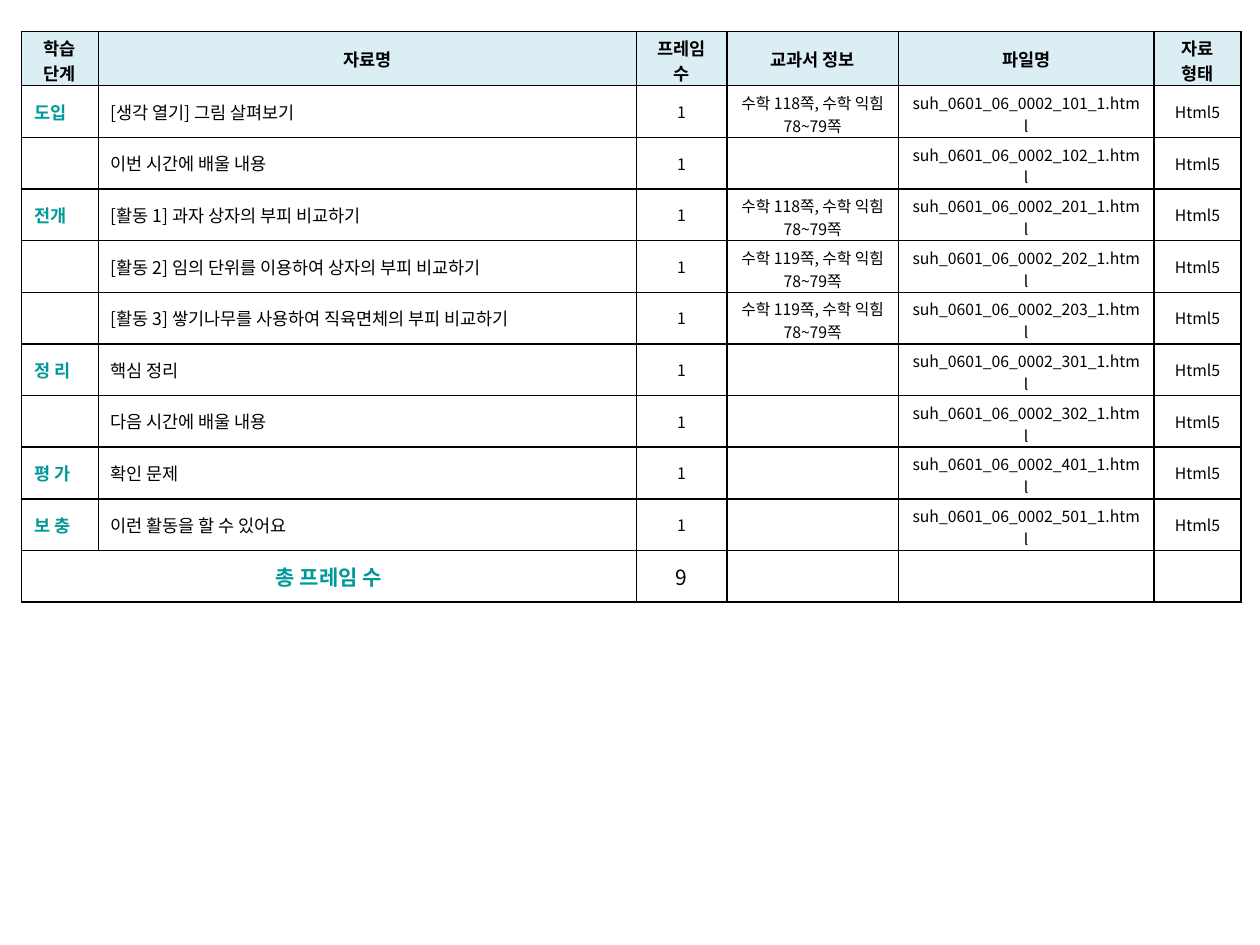
from lxml.etree import SubElement
from pptx import Presentation
from pptx.dml.color import RGBColor
from pptx.enum.text import MSO_ANCHOR, PP_ALIGN
from pptx.oxml.ns import qn
from pptx.util import Inches, Pt

FONT = "Noto Sans CJK KR"
BLACK, TEAL, HEADER_FILL = "000000", "009999", "DBEEF4"
LEFT, CENTER, JUSTIFY = PP_ALIGN.LEFT, PP_ALIGN.CENTER, PP_ALIGN.JUSTIFY

COLS = [0.61, 4.27, 0.72, 1.36, 2.03, 0.69]
HEADER_H, ROW_H = 0.43, 0.41
HEADERS = ["학습 단계", "자료명", "프레임 수", "교과서 정보", "파일명", "자료\n형태"]

# Stage, material, textbook page, file number
LESSONS = [
    ("도입", "[생각 열기] 그림 살펴보기", 118, 101),
    ("", "이번 시간에 배울 내용", None, 102),
    ("전개", "[활동 1] 과자 상자의 부피 비교하기", 118, 201),
    ("", "[활동 2] 임의 단위를 이용하여 상자의 부피 비교하기", 119, 202),
    ("", "[활동 3] 쌓기나무를 사용하여 직육면체의 부피 비교하기", 119, 203),
    ("정 리", "핵심 정리", None, 301),
    ("", "다음 시간에 배울 내용", None, 302),
    ("평 가", "확인 문제", None, 401),
    ("보 충", "이런 활동을 할 수 있어요", None, 501),
]


def rgb(value):
    return RGBColor.from_string(value)


def add_borders(cell):
    tc_pr = cell._tc.get_or_add_tcPr()
    for i, side in enumerate(("a:lnL", "a:lnR", "a:lnT", "a:lnB")):
        ln = SubElement(tc_pr, qn(side), w=str(Pt(1)))
        fill = SubElement(ln, qn("a:solidFill"))
        SubElement(fill, qn("a:srgbClr"), val=BLACK)
        tc_pr.insert(i, ln)  # borders come before the fill


def fill_cell(cell, text="", size=9, color=BLACK, bold=False, align=CENTER,
              fill=None, tight_top=None):
    cell.vertical_anchor = MSO_ANCHOR.MIDDLE
    cell.margin_left = cell.margin_right = Inches(0.1)
    cell.margin_top = cell.margin_bottom = Inches(0.05)
    if tight_top is not None:  # two lines have to fit the row
        cell.margin_top, cell.margin_bottom = Inches(tight_top), 0
    if fill:
        cell.fill.solid()
        cell.fill.fore_color.rgb = rgb(fill)
    else:
        cell.fill.background()
    add_borders(cell)

    tf = cell.text_frame
    for i, line in enumerate(text.split("\n")):
        p = tf.add_paragraph() if i else tf.paragraphs[0]
        p.alignment = align
        if not line:  # keeps an empty cell from stretching its row
            SubElement(p._p, qn("a:endParaRPr"), sz=str(size * 100))
            continue
        r = p.add_run()
        r.text = line
        r.font.size, r.font.bold, r.font.name = Pt(size), bold, FONT
        r.font.color.rgb = rgb(color)
        SubElement(r._r.get_or_add_rPr(), qn("a:ea"), typeface=FONT)


def add_lesson_table(slide, left, top):
    n_rows = len(LESSONS) + 2
    height = HEADER_H + ROW_H * (n_rows - 1)
    table = slide.shapes.add_table(
        n_rows, len(COLS), Inches(left), Inches(top),
        Inches(sum(COLS)), Inches(height)).table
    table.first_row = table.horz_banding = False
    for column, width in zip(table.columns, COLS):
        column.width = Inches(width)
    for i, row in enumerate(table.rows):
        row.height = Inches(ROW_H if i else HEADER_H)

    # Header
    for c, title in enumerate(HEADERS):
        two_lines = c in (0, 2, 5)
        fill_cell(table.cell(0, c), title, 10, bold=True, fill=HEADER_FILL,
                  tight_top=0.03 if two_lines else None)

    # Lesson rows
    for i, (stage, material, page, number) in enumerate(LESSONS, 1):
        book = f"수학 {page}쪽, 수학 익힘 78~79쪽" if page else ""
        fill_cell(table.cell(i, 0), stage, 10, TEAL, True, JUSTIFY)
        fill_cell(table.cell(i, 1), material, 10, align=LEFT)
        fill_cell(table.cell(i, 2), "1")
        fill_cell(table.cell(i, 3), book, tight_top=0.04)
        fill_cell(table.cell(i, 4), f"suh_0601_06_0002_{number}_1.html", tight_top=0.04)
        fill_cell(table.cell(i, 5), "Html5")

    # Total row
    last = n_rows - 1
    table.cell(last, 0).merge(table.cell(last, 1))
    fill_cell(table.cell(last, 0), "총 프레임 수", 12, TEAL, True)
    fill_cell(table.cell(last, 1))
    fill_cell(table.cell(last, 2), str(len(LESSONS)), 12)
    for c in range(3, len(COLS)):
        fill_cell(table.cell(last, c))


def main():
    prs = Presentation()
    prs.slide_width, prs.slide_height = Inches(10), Inches(7.5)
    slide = prs.slides.add_slide(prs.slide_layouts[6])
    add_lesson_table(slide, 0.17, 0.25)
    prs.save("out.pptx")


if __name__ == "__main__":
    main()
